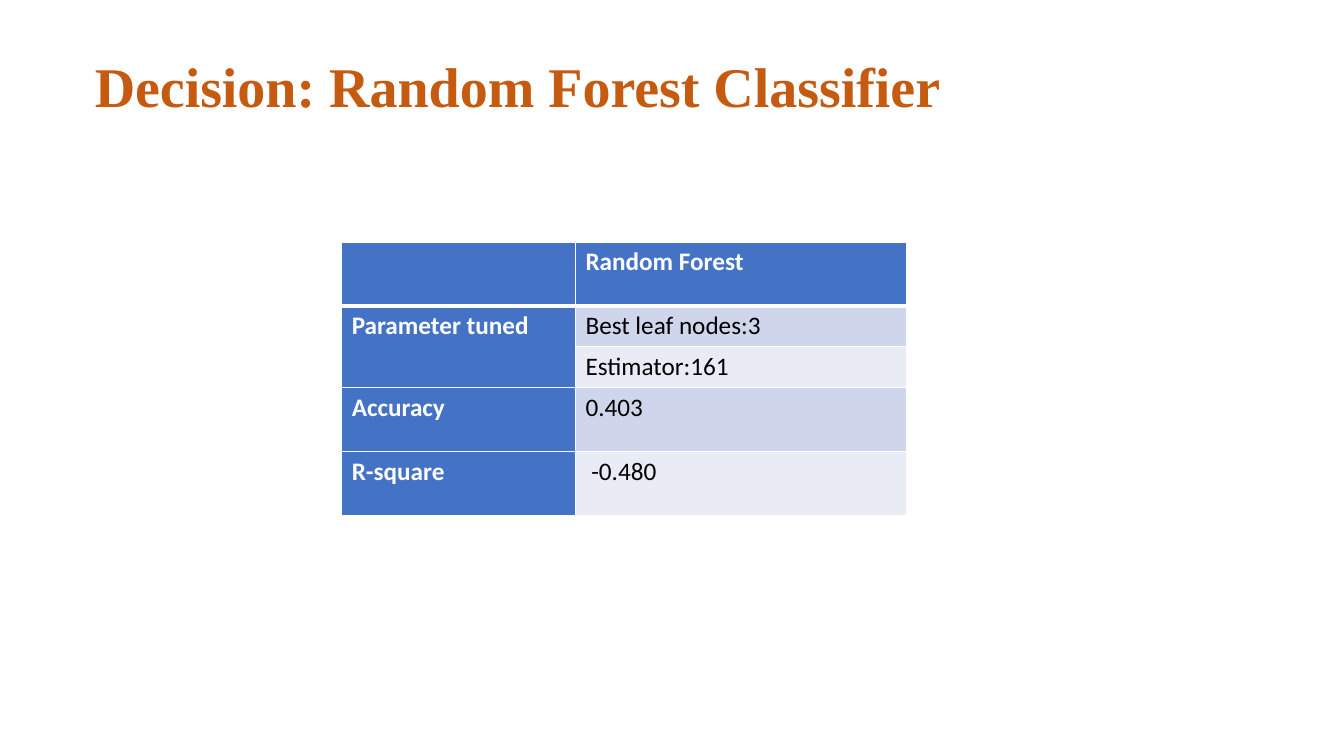
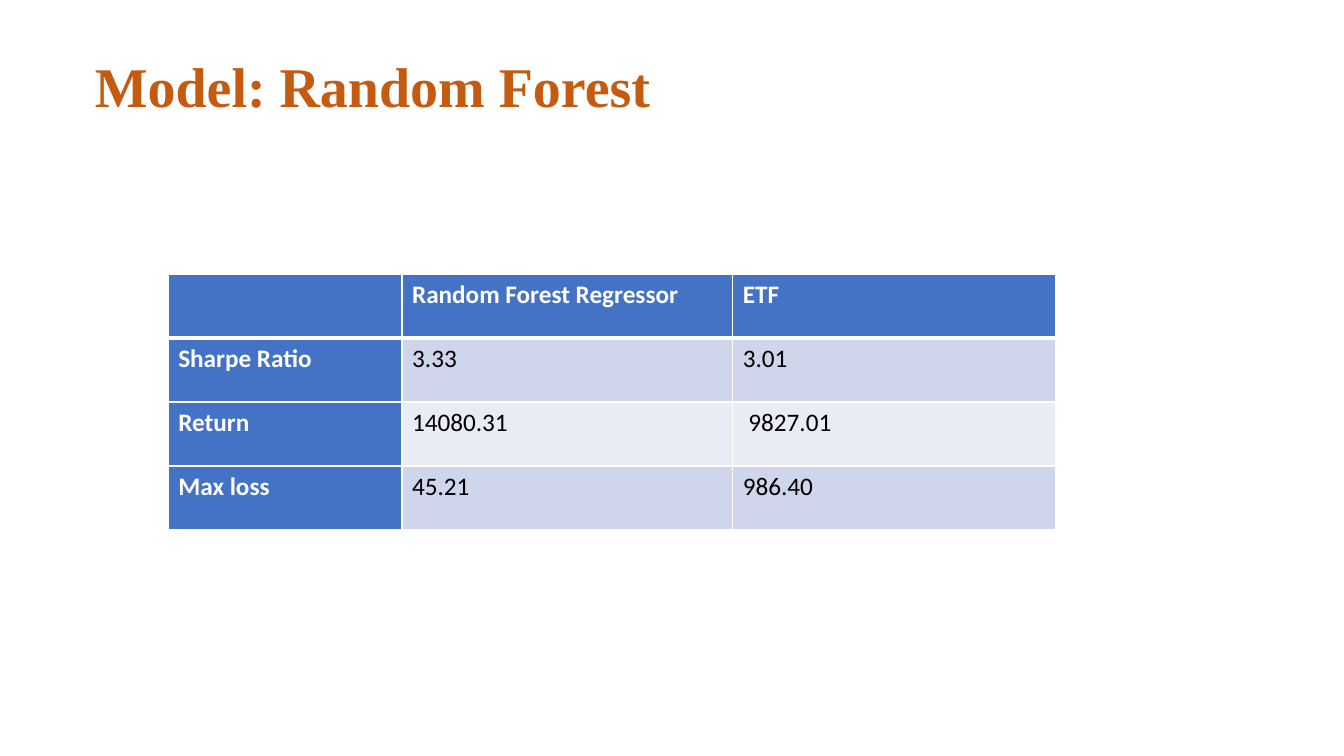
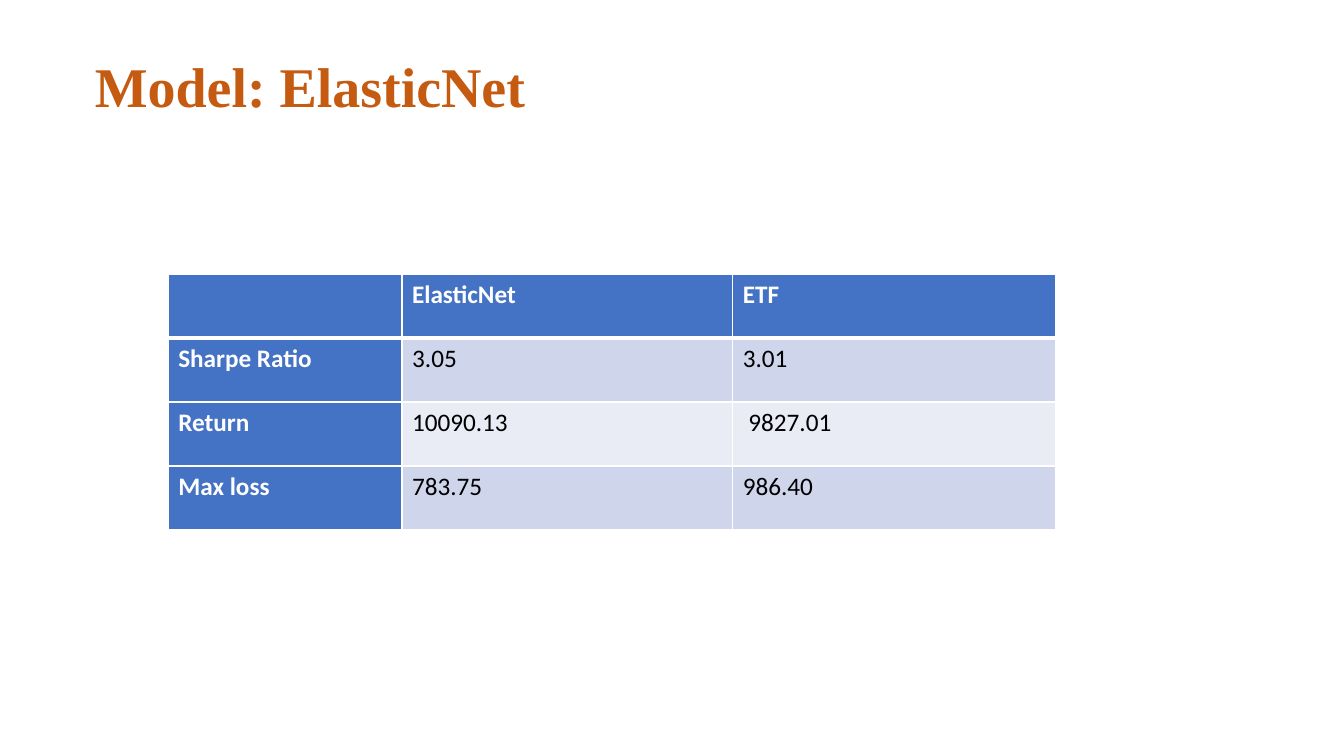
import pptx
import pptx.dml.color
import pptx.enum.text
import pptx.oxml
import pptx.oxml.ns
import pptx.util

Pt = pptx.util.Pt
RGBColor = pptx.dml.color.RGBColor

ORANGE = RGBColor(0xC5, 0x5A, 0x11)
BLUE = RGBColor(0x44, 0x72, 0xC4)
BAND_DARK = RGBColor(0xCF, 0xD5, 0xEA)
BAND_LIGHT = RGBColor(0xE9, 0xEB, 0xF5)
WHITE = RGBColor(0xFF, 0xFF, 0xFF)
BLACK = RGBColor(0, 0, 0)

COL_WIDTHS = (167, 236.2, 231)
ROW_HEIGHT = 45.7
SHORT_ROW = 29.1


class Deck:
    """Holds the shared style and the slide being built."""

    def __init__(self):
        self.prs = pptx.Presentation()
        self.prs.slide_width, self.prs.slide_height = Pt(960), Pt(540)

    def add_slide(self, title):
        layout = self.prs.slide_layouts.get_by_name("Title Only")
        self.s = self.prs.slides.add_slide(layout)
        sp = self.s.shapes.title
        sp.left, sp.top, sp.width, sp.height = Pt(60.5), Pt(33.1), Pt(770.4), Pt(55.4)
        tf = sp.text_frame
        tf.text = title
        tf.word_wrap = True
        tf.auto_size = pptx.enum.text.MSO_AUTO_SIZE.SHAPE_TO_FIT_TEXT
        tf.vertical_anchor = pptx.enum.text.MSO_ANCHOR.TOP
        self.format_text(tf, "Times New Roman", 40, ORANGE, True)

    def format_text(self, tf, name, size, color, bold):
        p = tf.paragraphs[0]
        p.alignment = pptx.enum.text.PP_ALIGN.LEFT
        for r in p.runs:
            r.font.name, r.font.size, r.font.bold = name, Pt(size), bold
            r.font.color.rgb = color

    def add_table(self, left, top, rows, heights):
        widths = COL_WIDTHS[:len(rows[0])]
        frame = self.s.shapes.add_table(
            len(rows), len(widths), Pt(left), Pt(top), Pt(sum(widths)), Pt(sum(heights)))
        table = frame.table
        table.first_col = True
        for col, width in zip(table.columns, widths):
            col.width = Pt(width)
        for row, height in zip(table.rows, heights):
            row.height = Pt(height)
        for i, texts in enumerate(rows):
            for j, text in enumerate(texts):
                self.format_cell(table.cell(i, j), text, i, j)
        return table

    def format_cell(self, cell, text, i, j):
        heading = i == 0 or j == 0
        self.add_borders(cell, top=3 if i == 1 else 1, bottom=3 if i == 0 else 1)
        cell.fill.solid()
        cell.fill.fore_color.rgb = BLUE if heading else BAND_DARK if i % 2 else BAND_LIGHT
        cell.text_frame.text = text
        self.format_text(cell.text_frame, "Calibri", 18, WHITE if heading else BLACK, heading)

    def add_borders(self, cell, top, bottom):
        tc_pr = cell._tc.get_or_add_tcPr()
        for side, width in (("L", 1), ("R", 1), ("T", top), ("B", bottom)):
            tc_pr.append(pptx.oxml.parse_xml(
                f'<a:ln{side} {pptx.oxml.ns.nsdecls("a")} w="{Pt(width)}">'
                f'<a:solidFill><a:srgbClr val="{WHITE}"/></a:solidFill></a:ln{side}>'))

    def add_model_slide(self, title, model, sharpe, gain, loss):
        self.add_slide(title)
        rows = [
            ("", model, "ETF"),
            ("Sharpe Ratio", sharpe, "3.01"),
            ("Return", gain, " 9827.01"),
            ("Max loss", loss, "986.40"),
        ]
        self.add_table(120.2, 195.8, rows, [ROW_HEIGHT] * len(rows))


def main():
    deck = Deck()
    deck.add_slide("Decision: Random Forest Classifier")
    table = deck.add_table(
        244.1, 172.8,
        [
            ("", "Random Forest"),
            ("Parameter tuned", "Best leaf nodes:3"),
            ("", "Estimator:161"),
            ("Accuracy", "0.403"),
            ("R-square", " -0.480"),
        ],
        [ROW_HEIGHT, SHORT_ROW, SHORT_ROW, ROW_HEIGHT, ROW_HEIGHT])
    table.cell(1, 0).merge(table.cell(2, 0))
    deck.add_model_slide(
        "Model: Random Forest", "Random Forest Regressor", "3.33", "14080.31", "45.21")
    deck.add_model_slide("Model: ElasticNet", "ElasticNet", "3.05", "10090.13", "783.75")
    deck.prs.save("out.pptx")


if __name__ == "__main__":
    main()
